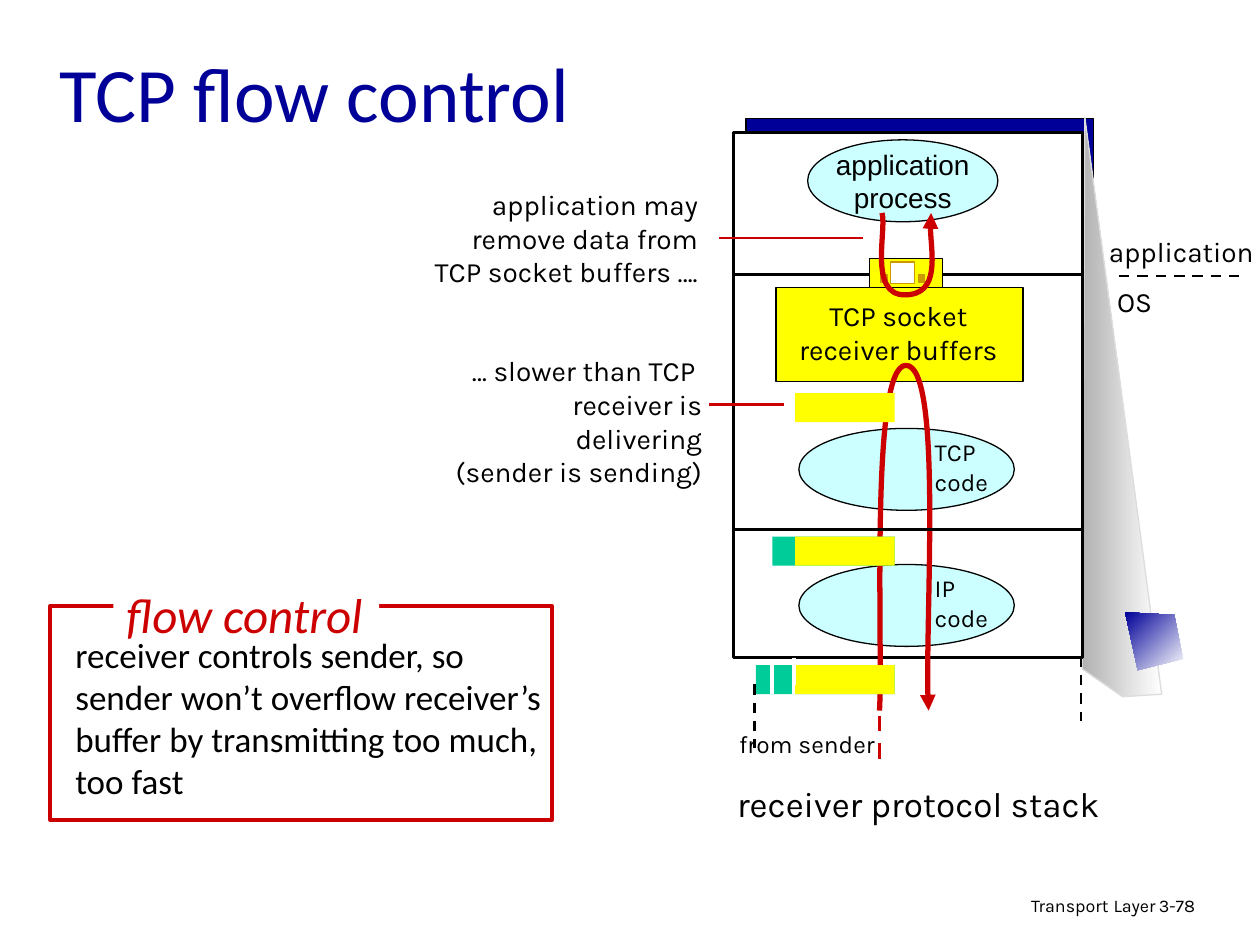
"""Build the TCP flow control slide with its receiver protocol stack."""
from lxml.etree import SubElement
from pptx import Presentation
from pptx.dml.color import RGBColor
from pptx.enum.dml import MSO_LINE
from pptx.enum.shapes import MSO_CONNECTOR, MSO_SHAPE
from pptx.enum.text import MSO_ANCHOR, MSO_AUTO_SIZE as FIT, PP_ALIGN
from pptx.oxml.ns import qn
from pptx.util import Inches, Pt

BLACK = RGBColor(0, 0, 0)
WHITE = RGBColor(0xFF, 0xFF, 0xFF)
NAVY = RGBColor(0, 0, 0x99)
RED = RGBColor(0xCC, 0, 0)
YELLOW = RGBColor(0xFF, 0xFF, 0)
CYAN = RGBColor(0xCC, 0xFF, 0xFF)
GREEN = RGBColor(0, 0xCC, 0x99)
GOLD = RGBColor(0xCC, 0x99, 0)
GREY = RGBColor(0xB2, 0xB2, 0xB2)
PALE = RGBColor(0xDD, 0xDD, 0xDD)

LEFT, CENTER, RIGHT = PP_ALIGN.LEFT, PP_ALIGN.CENTER, PP_ALIGN.RIGHT
RECT, OVAL = MSO_SHAPE.RECTANGLE, MSO_SHAPE.OVAL
UNITS = 1000

STACK_X, STACK_Y, STACK_W, STACK_H = 5.82, 1.05, 2.77, 4.17
APP_LINE, IP_LINE = 2.18, 4.2
CODE_LAYERS = [("TCP", 3.4), ("IP", 4.48)]
PAYLOAD_X, PAYLOAD_W, PACKET_H = 6.31, 0.79, 0.23
PACKETS = [(3.12, None, []), (4.26, 6.13, []), (5.28, 6.0, [6.13, 6.3])]
SOCKET_DETAILS = [
    ((6.9, 2.05, 0.58, 0.23), YELLOW, BLACK),
    ((7.07, 2.08, 0.19, 0.17), WHITE, GOLD),
    ((7.29, 2.18, 0.05, 0.06), GOLD, GOLD),
    ((6.99, 2.18, 0.05, 0.06), GOLD, GOLD),
]
SIDE_PANEL = [(9.22, 5.51), (8.61, 0.93), (8.59, 5.31), (8.91, 5.53)]
CORNER_TILE = [(8.93, 4.86), (9.32, 4.88), (9.39, 5.23), (9.03, 5.32)]
ARRIVAL_CURVE = [(6.98, 5.64), (7.01, 5.18), (6.9, 2.9), (7.19, 2.9),
                 (7.48, 2.9), (7.33, 5.07), (7.37, 5.64)]
READING_CURVE = [(7.39, 1.69), (7.36, 1.8), (7.47, 2.34), (7.18, 2.34),
                 (6.89, 2.34), (7.04, 1.82), (7, 1.69)]
NOTES = [
    ((2.2, 1.44, 3.49, 0.9),
     ["application may ", "remove data from ", "TCP socket buffers …. "],
     (5.71, 6.85, 1.89)),
    ((3.39, 2.76, 2.28, 1.17),
     ["… slower than TCP ", "receiver is delivering", "(sender is sending)"],
     (5.63, 6.22, 3.21)),
]
DEFINITION = ("receiver controls sender, so sender won’t overflow receiver’s "
              "buffer by transmitting too much, too fast")

deck = Presentation()
deck.slide_width, deck.slide_height = Inches(10), Inches(7.5)
page = deck.slides.add_slide(deck.slide_layouts[5])
shapes = page.shapes


def add_span(para, text, size, font, color, italic=None):
    span = para.add_run()
    span.text = text
    span.font.size, span.font.name, span.font.italic = Pt(size), font, italic
    span.font.color.rgb = color


def write(frame, lines, size, font="Karla", color=BLACK, align=LEFT, italic=None):
    for number, line in enumerate(lines):
        para = frame.add_paragraph() if number else frame.paragraphs[0]
        para.alignment = align
        add_span(para, line, size, font, color, italic)


def add_text(at, lines, size, wrap=False, **style):
    box = shapes.add_textbox(*map(Inches, at))
    box.text_frame.word_wrap = wrap
    box.text_frame.auto_size = FIT.SHAPE_TO_FIT_TEXT
    write(box.text_frame, lines, size, **style)


def set_outline(shape, color, weight):
    shape.shadow.inherit = False
    if color is None:
        shape.line.fill.background()
    else:
        shape.line.color.rgb, shape.line.width = color, Pt(weight)


def add_block(kind, at, fill, outline=None, weight=0.75):
    block = shapes.add_shape(kind, *map(Inches, at))
    block.fill.solid()
    block.fill.fore_color.rgb = fill
    set_outline(block, outline, weight)
    return block


def add_line(x1, y1, x2, y2, color, weight, dashed=False):
    line = shapes.add_connector(MSO_CONNECTOR.STRAIGHT, *map(Inches, (x1, y1, x2, y2)))
    line.line.color.rgb, line.line.width = color, Pt(weight)
    if dashed:
        line.line.dash_style = MSO_LINE.DASH
    SubElement(line.element.spPr, qn("a:effectLst"))


def add_outline(points, close):
    start, *rest = [(round(x * UNITS), round(y * UNITS)) for x, y in points]
    builder = shapes.build_freeform(*start, scale=Inches(1) / UNITS)
    builder.add_line_segments(rest, close=close)
    return builder.convert_to_shape()


def add_gradient(points, end_color, angle, outline=None):
    shape = add_outline(points, True)
    shape.fill.gradient()
    shape.fill.gradient_angle = angle
    for stop, color, position in zip(shape.fill.gradient_stops, (WHITE, end_color), (0, 1)):
        stop.color.rgb, stop.position = color, position
    set_outline(shape, outline, 0.75)


def add_curve(points, arrow_end):
    curve = add_outline(points, False)
    segments = list(curve.element.iter(qn("a:lnTo")))
    for start in range(0, len(segments), 3):
        bezier = SubElement(segments[0].getparent(), qn("a:cubicBezTo"))
        for segment in segments[start:start + 3]:
            bezier.append(segment[0])
    for segment in segments:
        segment.getparent().remove(segment)
    curve.fill.background()
    set_outline(curve, RED, 3)
    SubElement(curve.element.spPr.find(qn("a:ln")), qn(arrow_end), type="triangle")


def add_footer():
    parts = [((6.1, 7.05, 3.17, 0.31), RIGHT, [("Transport", 10.2), (" ", 11.9), ("Layer", 10.2)]),
             ((9.1, 7.07, 0.74, 0.3), LEFT, [("3-78", 10.2)])]
    for at, align, spans in parts:
        box = shapes.add_textbox(*map(Inches, at))
        box.text_frame.word_wrap = True
        para = box.text_frame.paragraphs[0]
        para.alignment, para.line_spacing = align, 0.9
        for text, size in spans:
            add_span(para, text, size, "Karla", BLACK)


def add_title():
    title = shapes.title
    title.left, title.top, title.width, title.height = map(Inches, (0.37, 0.19, 8.5, 1.07))
    title.text_frame.vertical_anchor = MSO_ANCHOR.MIDDLE
    title.text_frame.auto_size = FIT.NONE
    write(title.text_frame, ["TCP flow control"], 44, "Calibri", NAVY)


def add_stack():
    add_block(RECT, (5.92, 0.94, 2.76, 4.22), NAVY, BLACK)
    add_gradient(SIDE_PANEL, GREY, 180, PALE)
    add_block(RECT, (STACK_X, STACK_Y, STACK_W, STACK_H), WHITE, BLACK, 1.5)
    process = add_block(OVAL, (6.41, 1.11, 1.51, 0.65), CYAN, BLACK).text_frame
    process.word_wrap, process.vertical_anchor = False, MSO_ANCHOR.MIDDLE
    write(process, ["application", "process"], 16, "Arial", align=CENTER)
    add_block(RECT, (6.16, 2.28, 1.96, 0.75), YELLOW, BLACK)
    add_text((6.21, 2.32, 1.84, 0.64), ["TCP socket", "receiver buffers"], 16, align=CENTER)
    for name, top in CODE_LAYERS:
        add_block(OVAL, (6.34, top, 1.71, 0.65), CYAN, BLACK)
        add_text((7.32, top + 0.02, 0.64, 0.57), [name, "code"], 14)
    add_curve(ARRIVAL_CURVE, "a:tailEnd")
    for y in (IP_LINE, APP_LINE):
        add_line(STACK_X, y, STACK_X + STACK_W + 0.01, y, BLACK, 1.5)
    for at, fill, outline in SOCKET_DETAILS:
        add_block(RECT, at, fill, outline)
    add_curve(READING_CURVE, "a:headEnd")
    for top, header_x, dividers in PACKETS:
        if header_x:
            add_block(RECT, (header_x, top, PAYLOAD_X + PAYLOAD_W - header_x, PACKET_H), GREEN)
        for x in dividers:
            add_line(x, top, x, top + PACKET_H, WHITE, 2.25)
        add_block(RECT, (PAYLOAD_X, top, PAYLOAD_W, PACKET_H), YELLOW)


def add_labels():
    add_text((8.7, 1.81, 1.35, 0.37), ["application"], 16, align=CENTER)
    add_text((8.76, 2.21, 0.49, 0.37), ["OS"], 16, align=CENTER)
    add_line(8.88, 2.19, 9.83, 2.19, BLACK, 1.5, True)
    add_text((5.71, 6.16, 3.16, 0.44), ["receiver protocol stack"], 20, align=CENTER)
    for at, lines, (x1, x2, y) in NOTES:
        add_text(at, lines, 16, wrap=True, align=RIGHT)
        add_line(x1, y, x2, y, RED, 1.5)
    add_line(6.98, 5.68, 6.98, 6.06, RED, 2.25, True)
    add_text((5.74, 5.74, 1.33, 0.34), ["from sender"], 14, align=CENTER)
    add_line(6.3, 5.22, 6.3, 5.44, WHITE, 2.25)


def add_definition():
    add_block(RECT, (0.4, 4.81, 3.98, 1.7), WHITE, RED, 2.25)
    add_text((0.5, 4.98, 3.93, 2.1), [DEFINITION], 20, wrap=True, font="Calibri")
    add_block(RECT, (0.9, 4.69, 2.11, 0.39), WHITE)
    add_text((0.44, 4.59, 3, 0.57), ["flow control"], 28, font="Calibri", color=RED,
             align=CENTER, italic=True)


add_footer()
add_title()
add_stack()
add_labels()
add_definition()
for x, top in ((5.99, 5.43), (8.58, 5.21)):
    add_line(x, top, x, top + 0.51, BLACK, 1.5, True)
add_gradient(CORNER_TILE, NAVY, 135)
deck.save("out.pptx")
